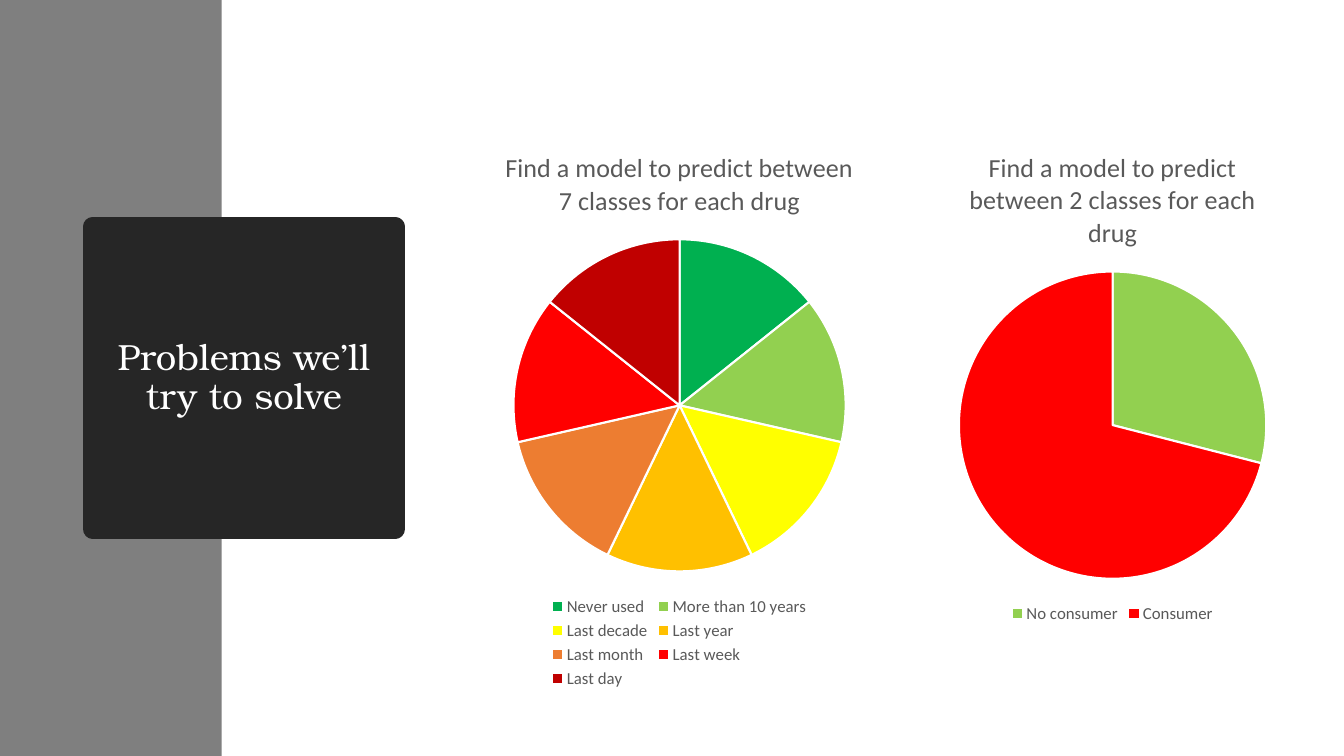
from lxml import etree
from pptx import Presentation
from pptx.chart.data import CategoryChartData
from pptx.dml.color import RGBColor
from pptx.enum.chart import XL_CHART_TYPE, XL_LEGEND_POSITION
from pptx.enum.shapes import MSO_SHAPE
from pptx.enum.text import MSO_ANCHOR, PP_ALIGN
from pptx.oxml.ns import qn
from pptx.util import Inches, Pt

PIE = XL_CHART_TYPE.PIE
BOTTOM = XL_LEGEND_POSITION.BOTTOM
RECTANGLE = MSO_SHAPE.RECTANGLE
MIDDLE = MSO_ANCHOR.MIDDLE
CENTER = PP_ALIGN.CENTER

WIDTH, HEIGHT = 13.33, 7.5
BODY_FONT, TITLE_FONT = "Calibri", "TeX Gyre Bonum"
GRAY, DARK, WHITE, TEXT_GRAY = "7F7F7F", "262626", "FFFFFF", "595959"

SEVEN_CLASSES = [
    ("Never used", 14, "00B050"),
    ("More than 10 years", 14, "92D050"),
    ("Last decade", 14, "FFFF00"),
    ("Last year", 14, "FFC000"),
    ("Last month", 14, "ED7D31"),
    ("Last week", 14, "FF0000"),
    ("Last day", 14, "C00000"),
]
TWO_CLASSES = [("No consumer", 29, "92D050"), ("Consumer", 71, "FF0000")]


def paint(color_format, color):
    """Set a fill or line to a solid hex colour."""
    color_format.solid()
    color_format.fore_color.rgb = RGBColor.from_string(color)


def style_font(font, size, color, name=BODY_FONT):
    """Set the size, colour and typeface of a font."""
    font.size, font.name, font.bold = Pt(size), name, False
    font.color.rgb = RGBColor.from_string(color)


def write_text(text_frame, text, size, color, name=BODY_FONT, spacing=None):
    """Write one centred paragraph with its format."""
    paragraph = text_frame.paragraphs[0]
    paragraph.alignment = CENTER
    if spacing:
        paragraph.line_spacing = spacing
    run = paragraph.add_run()
    run.text = text
    style_font(run.font, size, color, name)


def add_block(slide, box, color):
    """Add a plain rectangle without an outline."""
    shape = slide.shapes.add_shape(RECTANGLE, *map(Inches, box))
    shape.shadow.inherit = False
    paint(shape.fill, color)
    shape.line.fill.background()
    return shape


def add_title_card(slide, box, text):
    """Add the dark card, softened by a thick round-joined outline."""
    card = add_block(slide, box, DARK)
    paint(card.line.fill, DARK)
    card.line.width = Pt(13.75)
    etree.SubElement(card._element.spPr.find(qn("a:ln")), qn("a:round"))
    card.text_frame.word_wrap = True
    card.text_frame.vertical_anchor = MIDDLE
    write_text(card.text_frame, text, 26, WHITE, name=TITLE_FONT, spacing=0.9)


def add_class_pie(slide, box, title, classes):
    """Add a titled pie with one coloured slice per class."""
    names, values, colors = zip(*classes)
    data = CategoryChartData()
    data.categories = names
    data.add_series(title, values)
    chart = slide.shapes.add_chart(PIE, *map(Inches, box), data).chart
    style_font(chart.font, 10, "000000")
    chart.has_title = True
    write_text(chart.chart_title.text_frame, title, 18.6, TEXT_GRAY)
    chart.chart_title.include_in_layout = False
    chart.has_legend = True
    chart.legend.position = BOTTOM
    chart.legend.include_in_layout = False
    style_font(chart.legend.font, 12, TEXT_GRAY)
    plot = chart.plots[0]
    plot.vary_by_categories = True
    for index, color in enumerate(colors):
        slice_format = plot.series[0].points[index].format
        paint(slice_format.fill, color)
        paint(slice_format.line.fill, WHITE)
        slice_format.line.width = Pt(1.5)


def build_problems_slide(presentation):
    """Lay out the side band, the two pies and the title card."""
    slide = presentation.slides.add_slide(presentation.slide_layouts[6])
    paint(slide.background.fill, WHITE)
    add_block(slide, (0, 0, WIDTH * 0.165, HEIGHT), GRAY)
    pies = [
        ((4.42, 1.27, 4.64, 5.6), 7, SEVEN_CLASSES),
        ((9.05, 1.28, 3.97, 4.95), 2, TWO_CLASSES),
    ]
    for box, count, classes in pies:
        title = f"Find a model to predict between {count} classes for each drug"
        add_class_pie(slide, box, title, classes)
    side = HEIGHT * 0.4
    card_box = (0.92, (HEIGHT - side) / 2, side, side)
    add_title_card(slide, card_box, "Problems we’ll try to solve")


def main():
    """Build and save the presentation."""
    presentation = Presentation()
    presentation.slide_width = Inches(WIDTH)
    presentation.slide_height = Inches(HEIGHT)
    build_problems_slide(presentation)
    presentation.save("out.pptx")


if __name__ == "__main__":
    main()
